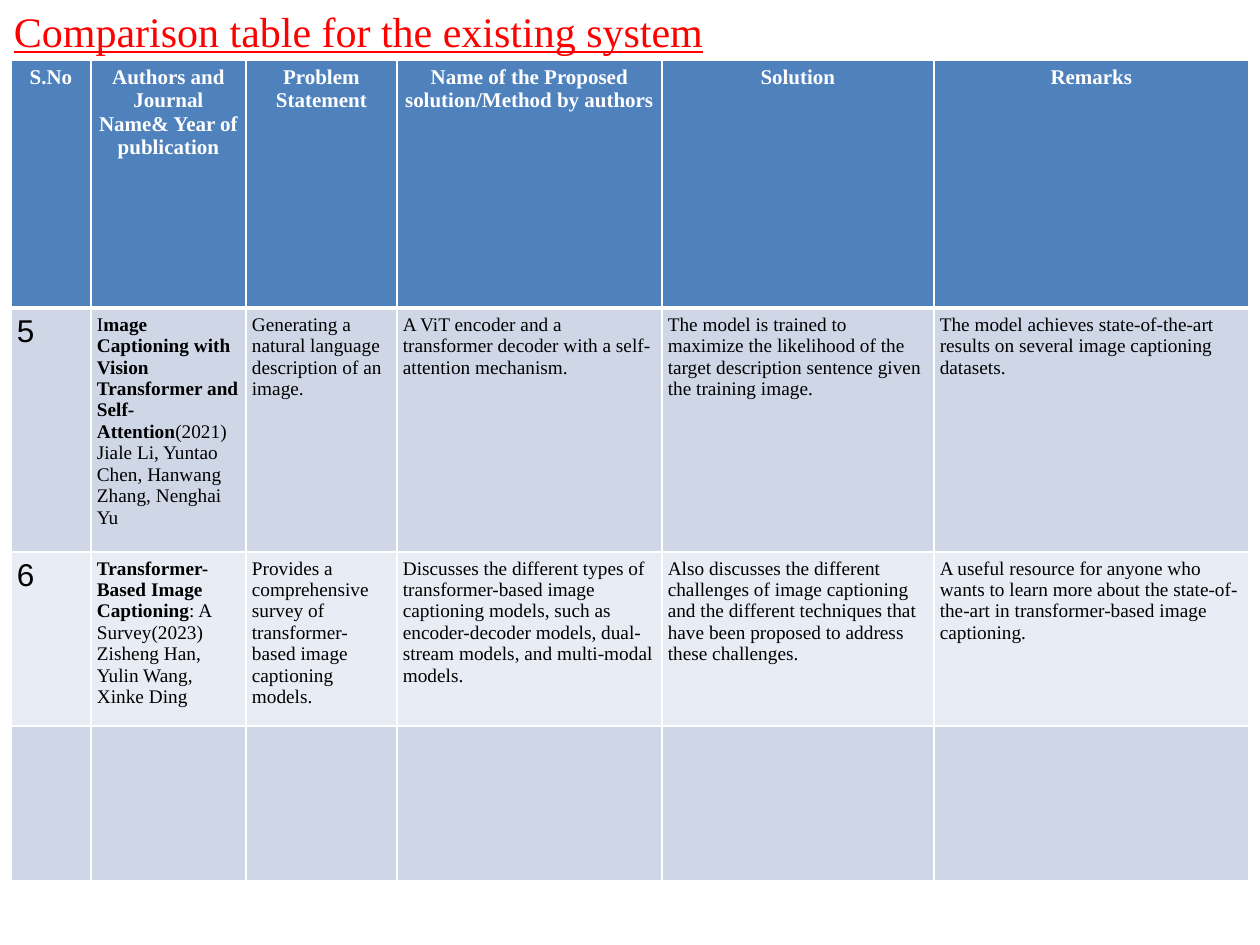
"""Builds a slide with a comparison table of image captioning studies."""
from dataclasses import dataclass

from lxml.etree import SubElement
from pptx import Presentation
from pptx.dml.color import RGBColor
from pptx.enum.text import MSO_ANCHOR, PP_ALIGN
from pptx.oxml.ns import qn
from pptx.util import Emu, Pt

SCALE = 914400 // 126
INSET = 6
SERIF = "Times New Roman"
WHITE, BLACK, RED = "FFFFFF", "000000", "FF0000"
HEADER_FILL, BAND_FILLS = "4F81BD", ("CFD7E7", "E8ECF4")
COLUMN_WIDTHS = (80, 155, 151, 265, 272, 315)
ROW_HEIGHTS = (248, 244, 174, 155)


@dataclass(frozen=True)
class Style:
    size: float
    color: str = BLACK
    font: str = SERIF
    bold: bool = False
    underline: bool = False


@dataclass(frozen=True)
class Span:
    text: str
    style: Style


TITLE = Style(24, RED, underline=True)
HEADING = Style(12, WHITE, bold=True)
NUMBER = Style(18, font="Arial")
BODY = Style(11)
STRONG = Style(11, bold=True)

HEADINGS = (
    "S.No",
    "Authors and Journal Name& Year of publication",
    "Problem Statement",
    "Name of the Proposed solution/Method by authors",
    "Solution",
    "Remarks",
)


@dataclass(frozen=True)
class Study:
    number: str
    citation: tuple[Span, ...]
    details: tuple[str, ...]

    def cells(self) -> list[tuple[Span, ...]]:
        """Return the spans of each cell in the row of this study."""
        return [(Span(self.number, NUMBER),), self.citation,
                *((Span(text, BODY),) for text in self.details)]


STUDIES = (
    Study("5", (
        Span("I", BODY),
        Span("mage Captioning with Vision Transformer and Self-Attention", STRONG),
        Span("(2021) Jiale Li, Yuntao Chen, Hanwang Zhang, Nenghai Yu", BODY),
    ), (
        "Generating a natural language description of an image.",
        "A ViT encoder and a transformer decoder with a self-attention mechanism.",
        "The model is trained to maximize the likelihood of the target description "
        "sentence given the training image.",
        "The model achieves state-of-the-art results on several image captioning datasets.",
    )),
    Study("6", (
        Span("Transformer-Based Image Captioning", STRONG),
        Span(": A Survey(2023) Zisheng Han, Yulin Wang, Xinke Ding", BODY),
    ), (
        "Provides a comprehensive survey of transformer-based image captioning models.",
        "Discusses the different types of transformer-based image captioning models, "
        "such as encoder-decoder models, dual-stream models, and multi-modal models.",
        "Also discusses the different challenges of image captioning and the different "
        "techniques that have been proposed to address these challenges.",
        "A useful resource for anyone who wants to learn more about the "
        "state-of-the-art in transformer-based image captioning.",
    )),
)


def px(length: int) -> Emu:
    """Turn pixels into EMU."""
    return Emu(length * SCALE)


def rgb(color: str) -> RGBColor:
    """Turn a hex string into a colour."""
    return RGBColor.from_string(color)


def write(paragraph, spans: tuple[Span, ...], align=PP_ALIGN.LEFT) -> None:
    """Add styled runs to a paragraph."""
    paragraph.alignment = align
    for span in spans:
        run = paragraph.add_run()
        run.text = span.text
        font, style = run.font, span.style
        font.name, font.size = style.font, Pt(style.size)
        font.bold, font.underline = style.bold, style.underline
        font.color.rgb = rgb(style.color)


def set_margins(holder) -> None:
    """Give a cell or text frame equal margins."""
    for side in ("left", "top", "right", "bottom"):
        setattr(holder, f"margin_{side}", px(INSET))


def format_cell(cell, fill: str, bottom_width: float) -> None:
    """Set the margins, white borders and fill of a cell."""
    set_margins(cell)
    cell.vertical_anchor = MSO_ANCHOR.TOP
    properties = cell._tc.get_or_add_tcPr()
    for tag, width in (("lnL", 1), ("lnR", 1), ("lnT", 1), ("lnB", bottom_width)):
        line = SubElement(properties, qn(f"a:{tag}"), w=str(Pt(width)))
        SubElement(SubElement(line, qn("a:solidFill")), qn("a:srgbClr"), val=WHITE)
    cell.fill.solid()
    cell.fill.fore_color.rgb = rgb(fill)


def add_title(slide) -> None:
    """Add the underlined title."""
    frame = slide.shapes.add_textbox(px(8), px(-1), px(1226), px(58)).text_frame
    frame.word_wrap = True
    set_margins(frame)
    write(frame.paragraphs[0], (Span("Comparison table for the existing system", TITLE),))


def add_comparison(slide) -> None:
    """Add the comparison table."""
    table = slide.shapes.add_table(
        len(ROW_HEIGHTS), len(COLUMN_WIDTHS), px(11), px(60),
        px(sum(COLUMN_WIDTHS)), px(sum(ROW_HEIGHTS))).table
    for column, width in zip(table.columns, COLUMN_WIDTHS):
        column.width = px(width)
    for row, height in zip(table.rows, ROW_HEIGHTS):
        row.height = px(height)
    header = [(Span(text, HEADING),) for text in HEADINGS]
    blank = [()] * len(COLUMN_WIDTHS)
    contents = [header, *(study.cells() for study in STUDIES), blank]
    for index, (row, content) in enumerate(zip(table.rows, contents)):
        is_header = index == 0
        fill = HEADER_FILL if is_header else BAND_FILLS[(index - 1) % 2]
        align = PP_ALIGN.CENTER if is_header else PP_ALIGN.LEFT
        for cell, spans in zip(row.cells, content):
            format_cell(cell, fill, 3 if is_header else 1)
            write(cell.text_frame.paragraphs[0], spans, align)


def main() -> None:
    """Build and save the presentation."""
    presentation = Presentation()
    presentation.slide_width, presentation.slide_height = px(1260), px(945)
    slide = presentation.slides.add_slide(presentation.slide_layouts[6])
    add_title(slide)
    add_comparison(slide)
    presentation.save("out.pptx")


main()
